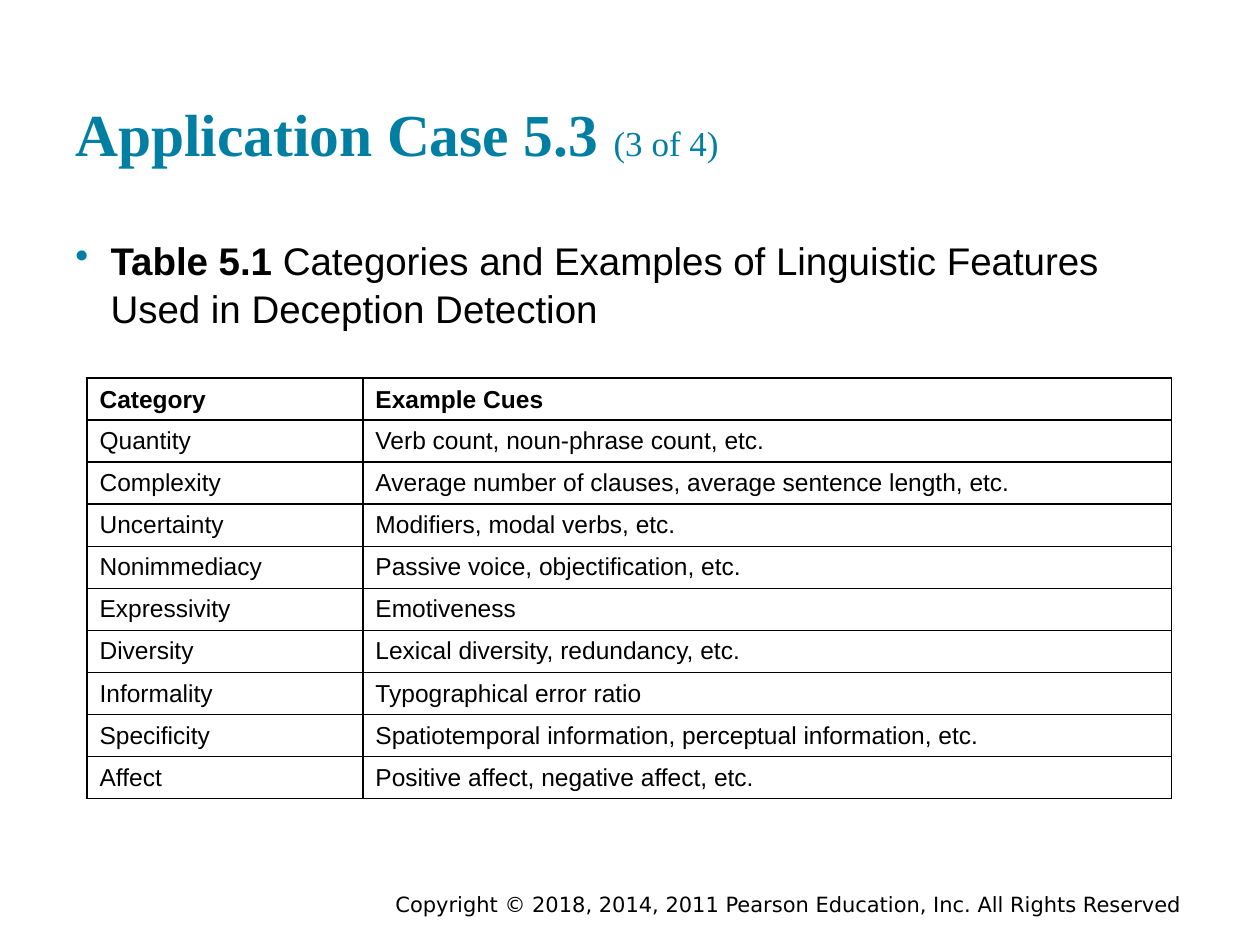
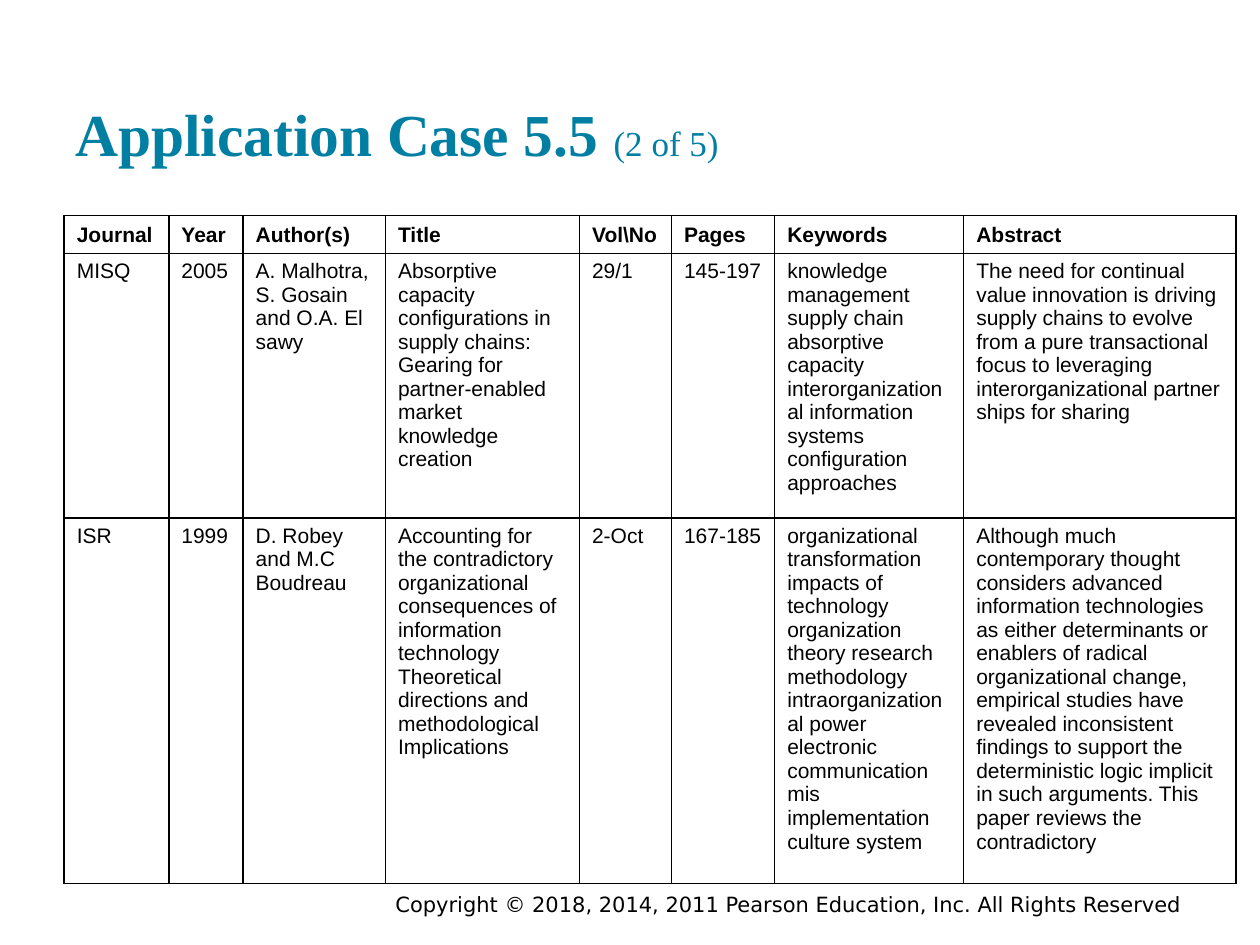
import dataclasses

import pptx
import pptx.dml.color
import pptx.enum.text
import pptx.oxml
import pptx.oxml.ns
import pptx.util

Inches = pptx.util.Inches
Anchor = pptx.enum.text.MSO_ANCHOR


@dataclasses.dataclass(frozen=True)
class Theme:
    accent: str = "007FA3"
    ink: str = "000000"
    paper: str = "FFFFFF"
    title_font: str = "Times New Roman"
    body_font: str = "Arial"
    footer_font: str = "DejaVu Sans"
    title_size: int = 34
    part_size: int = 20
    body_size: int = 22
    cue_size: int = 14
    article_size: int = 12
    footer_size: int = 12
    border_width: int = 1
    hanging: float = 0.28


THEME = Theme()
COPYRIGHT = "Copyright © 2018, 2014, 2011 Pearson Education, Inc. All Rights Reserved"

CUE_WIDTHS = [2.19, 6.42]
CUES = [
    ["Category", "Example Cues"],
    ["Quantity", "Verb count, noun-phrase count, etc."],
    ["Complexity", "Average number of clauses, average sentence length, etc."],
    ["Uncertainty", "Modifiers, modal verbs, etc."],
    ["Nonimmediacy", "Passive voice, objectification, etc."],
    ["Expressivity", "Emotiveness"],
    ["Diversity", "Lexical diversity, redundancy, etc."],
    ["Informality", "Typographical error ratio"],
    ["Specificity", "Spatiotemporal information, perceptual information, etc."],
    ["Affect", "Positive affect, negative affect, etc."],
]

ARTICLE_WIDTHS = [0.83, 0.59, 1.13, 1.54, 0.73, 0.82, 1.5, 2.16]
ARTICLE_HEIGHTS = [0.29, 1.97, 2.71]
ARTICLES = [
    ["Journal", "Year", "Author(s)", "Title", "Vol\\No", "Pages", "Keywords", "Abstract"],
    [
        "MISQ",
        "2005",
        "A. Malhotra,\nS. Gosain and O.A. El sawy",
        "Absorptive capacity configurations in supply chains: Gearing for "
        "partner-enabled market knowledge creation",
        "29/1",
        "145-197",
        "knowledge management supply chain absorptive capacity "
        "interorganizational information systems configuration approaches",
        "The need for continual value innovation is driving supply chains to evolve "
        "from a pure transactional focus to leveraging interorganizational partner "
        "ships for sharing",
    ],
    [
        "ISR",
        "1999",
        "D. Robey and M.C Boudreau",
        "Accounting for the contradictory organizational\n"
        "consequences of information\n"
        "technology Theoretical directions and methodological\n"
        "Implications",
        "2-Oct",
        "167-185",
        "organizational transformation impacts of technology organization theory "
        "research methodology intraorganizational power electronic communication "
        "mis implementation culture system",
        "Although much contemporary thought considers advanced information "
        "technologies as either determinants or enablers of radical organizational "
        "change, empirical studies have revealed inconsistent findings to support the "
        "deterministic logic implicit in such arguments. This paper reviews the "
        "contradictory",
    ],
]


def add_run(paragraph, text, *, size, font=THEME.body_font, color=THEME.ink, bold=False):
    run = paragraph.add_run()
    run.text = text
    run.font.size = pptx.util.Pt(size)
    run.font.name = font
    run.font.bold = bold
    run.font.color.rgb = pptx.dml.color.RGBColor.from_string(color)


def add_xml(parent, markup):
    namespace = pptx.oxml.ns.nsdecls("a")
    element = pptx.oxml.parse_xml(markup.replace("/>", f" {namespace}/>", 1)
                                  if markup.endswith("/>") and markup.count("<") == 1
                                  else markup.replace(">", f" {namespace}>", 1))
    parent.append(element)


def add_text_box(slide, left, top, width, height, *, anchor, inset=0.1):
    box = slide.shapes.add_textbox(Inches(left), Inches(top), Inches(width), Inches(height))
    frame = box.text_frame
    frame.word_wrap = True
    frame.vertical_anchor = anchor
    frame.margin_left = frame.margin_right = Inches(0.1)
    frame.margin_top = frame.margin_bottom = Inches(inset)
    return frame.paragraphs[0]


def set_hanging_indent(paragraph):
    properties = paragraph._p.get_or_add_pPr()
    properties.set("marL", str(Inches(THEME.hanging)))
    properties.set("indent", str(-Inches(THEME.hanging)))
    return properties


def add_title(slide, title, part):
    paragraph = add_text_box(slide, 0.5, 0.24, 9, 1.2, anchor=Anchor.BOTTOM)
    style = {"font": THEME.title_font, "color": THEME.accent}
    add_run(paragraph, f"{title} ", size=THEME.title_size, bold=True, **style)
    add_run(paragraph, part, size=THEME.part_size, **style)


def add_footer(slide):
    paragraph = add_text_box(slide, 3.04, 7.08, 6.6, 0.19, anchor=Anchor.MIDDLE, inset=0)
    set_hanging_indent(paragraph)
    add_run(paragraph, COPYRIGHT, size=THEME.footer_size, font=THEME.footer_font)


def add_caption(slide, label, text):
    paragraph = add_text_box(slide, 0.5, 1.77, 9, 0.89, anchor=Anchor.TOP)
    paragraph.line_spacing = 1.04
    properties = set_hanging_indent(paragraph)
    add_xml(properties, f'<a:buClr><a:srgbClr val="{THEME.accent}"/></a:buClr>')
    add_xml(properties, '<a:buChar char="•"/>')
    add_run(paragraph, f"{label} ", size=THEME.body_size, bold=True)
    add_run(paragraph, text, size=THEME.body_size)


def set_borders(cell):
    properties = cell._tc.get_or_add_tcPr()
    width = pptx.util.Pt(THEME.border_width)
    for side in ("lnL", "lnR", "lnT", "lnB"):
        add_xml(properties, f'<a:{side} w="{width}"><a:solidFill>'
                            f'<a:srgbClr val="{THEME.ink}"/></a:solidFill></a:{side}>')


def fill_cell(cell, text, *, size, anchor, bold):
    set_borders(cell)
    cell.fill.background()
    cell.vertical_anchor = anchor
    frame = cell.text_frame
    for index, line in enumerate(text.split("\n")):
        paragraph = frame.add_paragraph() if index else frame.paragraphs[0]
        add_run(paragraph, line, size=size, bold=bold)


def add_grid(slide, left, top, widths, heights, rows, *, size, body_anchor):
    table = slide.shapes.add_table(
        len(rows), len(widths), Inches(left), Inches(top),
        Inches(sum(widths)), Inches(sum(heights))).table
    table.first_row = table.horz_banding = False
    for column, width in zip(table.columns, widths):
        column.width = Inches(width)
    for row_index, (row, height) in enumerate(zip(rows, heights)):
        table.rows[row_index].height = Inches(height)
        is_header = row_index == 0
        for column_index, text in enumerate(row):
            fill_cell(table.cell(row_index, column_index), text, size=size,
                      anchor=Anchor.BOTTOM if is_header else body_anchor, bold=is_header)


def add_case_slide(presentation, title, part):
    slide = presentation.slides.add_slide(presentation.slide_layouts[6])
    slide.background.fill.solid()
    slide.background.fill.fore_color.rgb = pptx.dml.color.RGBColor.from_string(THEME.paper)
    add_footer(slide)
    add_title(slide, title, part)
    return slide


def main():
    presentation = pptx.Presentation()
    presentation.slide_width = Inches(10)
    presentation.slide_height = Inches(7.5)

    slide = add_case_slide(presentation, "Application Case 5.3", "(3 of 4)")
    add_caption(slide, "Table 5.1",
                "Categories and Examples of Linguistic Features Used in Deception Detection")
    add_grid(slide, 0.69, 3, CUE_WIDTHS, [0.32] * len(CUES), CUES,
             size=THEME.cue_size, body_anchor=Anchor.MIDDLE)

    slide = add_case_slide(presentation, "Application Case 5.5", "(2 of 5)")
    add_grid(slide, 0.51, 1.71, ARTICLE_WIDTHS, ARTICLE_HEIGHTS, ARTICLES,
             size=THEME.article_size, body_anchor=Anchor.TOP)

    presentation.save("out.pptx")


if __name__ == "__main__":
    main()
